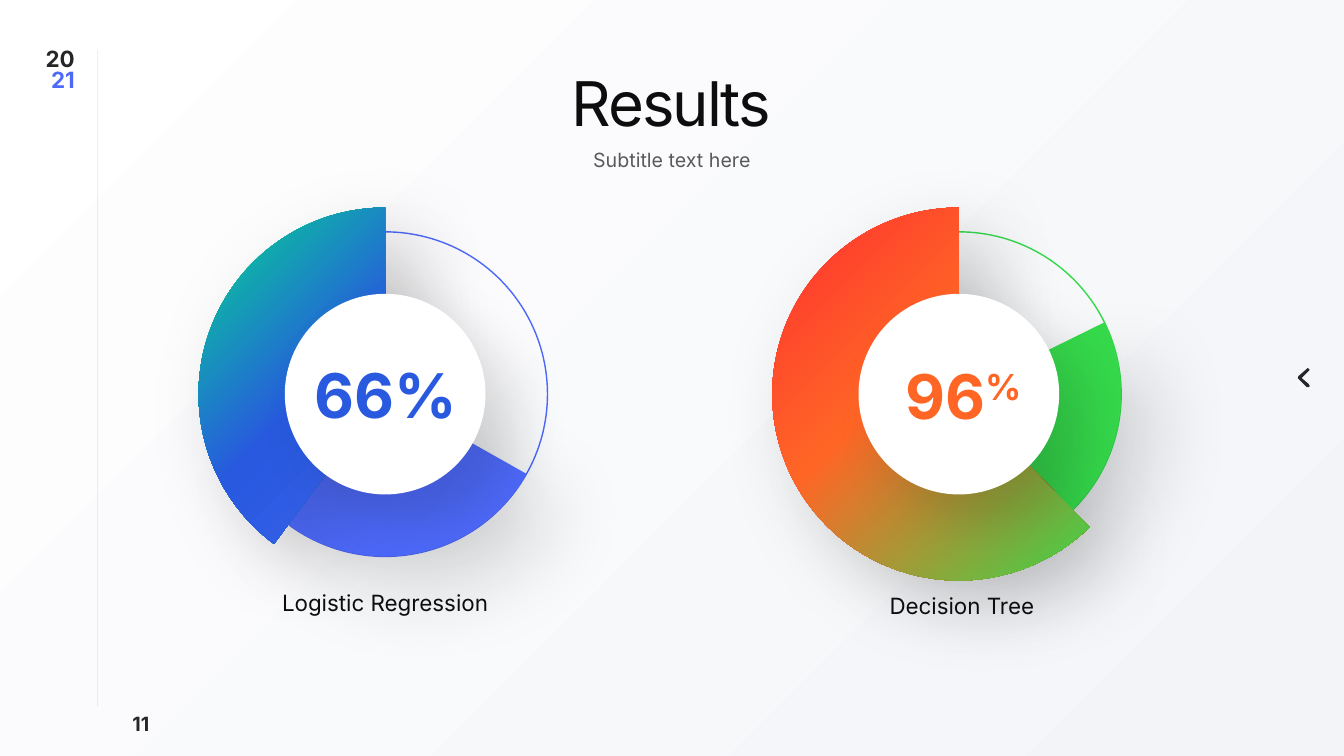
from lxml import etree
from pptx import Presentation, util as u
from pptx.dml.color import RGBColor
from pptx.enum import shapes, text
from pptx.oxml import ns

INK, DARK, GREY, WHITE = "0D0D0D", "262626", "595959", "FFFFFF"
BLUE, GREEN = "4D69FA", "35D94B"
LEFT, CENTER, RIGHT = (text.PP_ALIGN.LEFT, text.PP_ALIGN.CENTER,
                       text.PP_ALIGN.RIGHT)

BACKDROP = ((0, WHITE), (0.99, "F2F4F8"))
CHEVRON = [(12.99, 3.67), (12.98, 3.68), (12.91, 3.75), (12.98, 3.81),
           (12.99, 3.83), (12.98, 3.84), (12.96, 3.84), (12.88, 3.76),
           (12.87, 3.75), (12.88, 3.73), (12.96, 3.66), (12.97, 3.65),
           (12.98, 3.66)]
LABELS = [
    ((0.84, 7.01, 0.74, 0.34), RIGHT, 14, True, [[("11", DARK)]]),
    ((0.28, 0.45, 0.56, 0.53), RIGHT, 16, True,
     [[("20", DARK)], [("21", BLUE)]]),
    ((1.15, 0.6, 11.02, 0.84), CENTER, 44, False, [[("Results", INK)]]),
    ((3.95, 1.42, 5.43, 0.34), CENTER, 14, False,
     [[("Subtitle text here", GREY)]]),
]
DIALS = [
    dict(center=3.82, ring=BLUE, glow=[(5, BLUE), (60, "2859DF"), (100, "03D990")],
         inner_start=17.66, outer_start=75.94, score=[("66%", "2859DF")],
         score_at=(2.95, 3.49), caption="Logistic Regression",
         caption_at=(2.58, 5.8)),
    dict(center=9.51, ring=GREEN, glow=[(5, GREEN), (60, "FF6626"), (100, "FF2F30")],
         inner_start=200.25, outer_start=27.31,
         score=[("96", "FF6626"), ("%", "FF6626", 30)],
         score_at=(8.68, 3.5), caption="Decision Tree",
         caption_at=(8.3, 5.83)),
]
DIAL_Y = 3.91
PIE_END = 162
INNER, OUTER, HUB = 3.22, 3.7, 1.99


def color(value):
    return RGBColor.from_string(value)


def child(parent, tag, **attributes):
    node = etree.SubElement(parent, ns.qn(tag))
    for name, value in attributes.items():
        node.set(name, str(value))
    return node


def add_shadow(shape, blur, distance):
    effects = shape._element.spPr.find(ns.qn("a:effectLst"))
    cast = child(effects, "a:outerShdw", blurRad=u.Pt(blur), dist=u.Pt(distance),
                 dir=45 * 60000, algn="tl", rotWithShape=0)
    child(child(cast, "a:srgbClr", val=INK), "a:alpha", val=15000)


def add_glow(shape, stops):
    shape.fill.solid()
    solid = shape._element.spPr.find(ns.qn("a:solidFill"))
    glow = etree.Element(ns.qn("a:gradFill"))
    stop_list = child(glow, "a:gsLst")
    for place, value in stops:
        child(child(stop_list, "a:gs", pos=place * 1000), "a:srgbClr", val=value)
    child(child(glow, "a:path", path="circle"), "a:fillToRect", l=100000, t=100000)
    solid.getparent().replace(solid, glow)


def add_label(slide, box, align, size, bold, lines, spacing=None, tracking=None):
    frame = slide.shapes.add_textbox(*map(u.Inches, box)).text_frame
    frame.word_wrap = True
    frame.auto_size = text.MSO_AUTO_SIZE.SHAPE_TO_FIT_TEXT
    for index, line in enumerate(lines):
        paragraph = frame.add_paragraph() if index else frame.paragraphs[0]
        paragraph.alignment = align
        if len(lines) > 1:
            paragraph.line_spacing = 0.8
        for words, value, *raised in line:
            run = paragraph.add_run()
            run.text = words
            run.font.name, run.font.size, run.font.bold = "Inter", u.Pt(size), bold
            run.font.color.rgb = color(value)
            if raised:
                run.font._element.set("baseline", str(raised[0] * 1000))
            if size == 44 and not bold:
                run.font._element.set("spc", "-150")


def add_round(slide, kind, center, size, fill=None, line=None):
    shape = slide.shapes.add_shape(
        kind, u.Inches(center - size / 2), u.Inches(DIAL_Y - size / 2),
        u.Inches(size), u.Inches(size))
    shape.shadow.inherit = False
    if fill:
        shape.fill.solid()
        shape.fill.fore_color.rgb = color(fill)
    else:
        shape.fill.background()
    if line:
        shape.line.color.rgb = color(line)
        shape.line.width = u.Pt(1)
    else:
        shape.line.fill.background()
    return shape


def add_pie(slide, center, size, start, fill=None):
    pie = add_round(slide, shapes.MSO_SHAPE.PIE, center, size, fill)
    pie.adjustments[0], pie.adjustments[1] = start, PIE_END
    return pie


def add_dial(slide, dial):
    center, circle = dial["center"], shapes.MSO_SHAPE.OVAL
    add_round(slide, circle, center, INNER, line=dial["ring"])
    inner = add_pie(slide, center, INNER, dial["inner_start"], dial["ring"])
    add_shadow(inner, 58, 34)
    outer = add_pie(slide, center, OUTER, dial["outer_start"])
    add_glow(outer, dial["glow"])
    add_shadow(outer, 58, 24)
    add_shadow(add_round(slide, circle, center, HUB, WHITE), 41, 30)
    add_label(slide, (*dial["score_at"], 1.76, 0.84), CENTER, 44, True,
              [dial["score"]])
    add_label(slide, (*dial["caption_at"], 2.48, 0.37), CENTER, 16, False,
              [[(dial["caption"], INK)]])


def add_backdrop(slide):
    fill = slide.background.fill
    fill.gradient()
    fill.gradient_angle = 315
    for stop, (place, value) in zip(fill.gradient_stops, BACKDROP):
        stop.position, stop.color.rgb = place, color(value)


def add_margin_rule(slide):
    rule = slide.shapes.add_connector(
        shapes.MSO_CONNECTOR.STRAIGHT, *map(u.Inches, (0.97, 0.49, 0.97, 7.01)))
    rule.line.color.rgb, rule.line.width = color("A6A6A6"), u.Pt(0.5)
    properties = rule._element.spPr
    child(properties.find(".//" + ns.qn("a:srgbClr")), "a:alpha", val=26000)
    child(properties, "a:effectLst")


def add_chevron(slide):
    points = [(u.Inches(x), u.Inches(y)) for x, y in CHEVRON]
    outline = slide.shapes.build_freeform(*points[0])
    outline.add_line_segments(points[1:], close=True)
    chevron = outline.convert_to_shape()
    chevron.shadow.inherit = False
    chevron.fill.solid()
    chevron.fill.fore_color.rgb = color(DARK)
    chevron.line.fill.background()


def main():
    deck = Presentation()
    deck.slide_width, deck.slide_height = u.Inches(13.33), u.Inches(7.5)
    slide = deck.slides.add_slide(deck.slide_layouts[6])
    add_backdrop(slide)
    add_margin_rule(slide)
    add_chevron(slide)
    for label in LABELS:
        add_label(slide, *label)
    for dial in DIALS:
        add_dial(slide, dial)
    deck.save("out.pptx")


if __name__ == "__main__":
    main()
